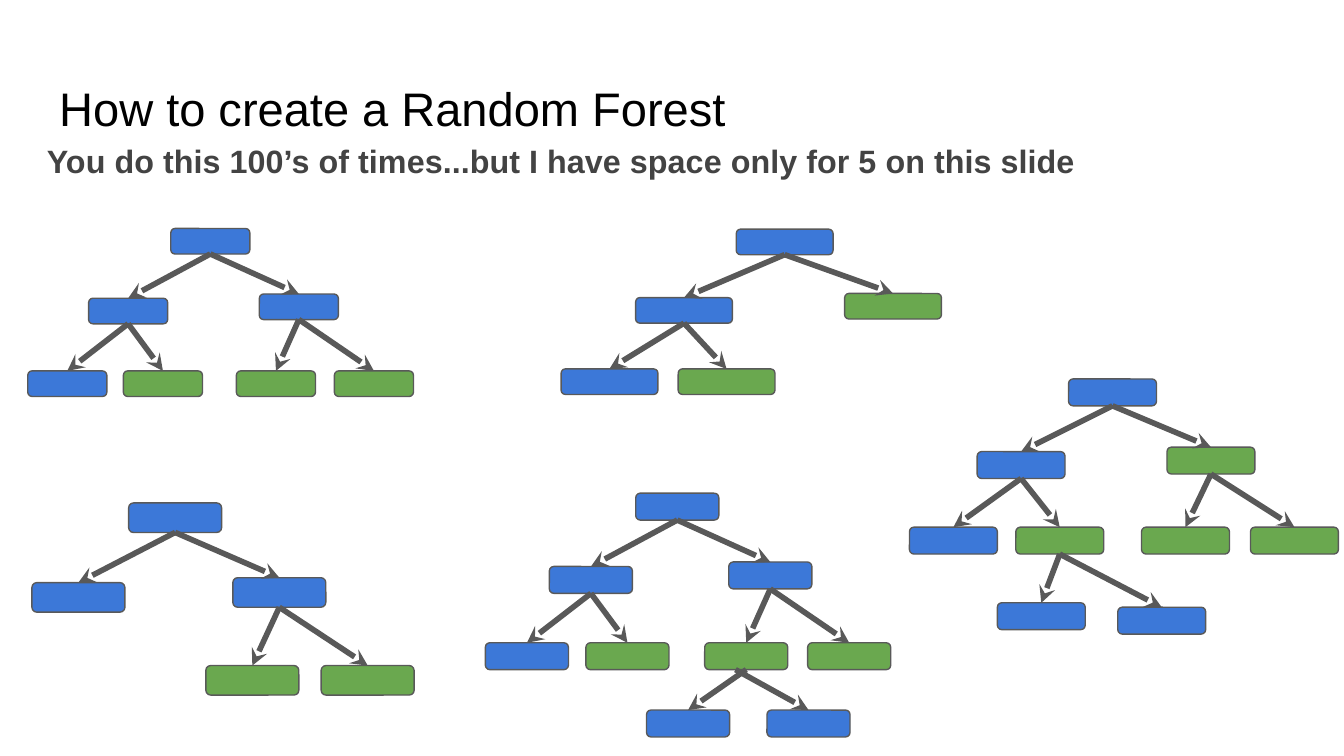
from dataclasses import dataclass

from lxml.etree import SubElement
from pptx import Presentation
from pptx.dml.color import RGBColor
from pptx.enum.shapes import MSO_CONNECTOR, MSO_SHAPE
from pptx.enum.text import MSO_ANCHOR, MSO_AUTO_SIZE, PP_ALIGN
from pptx.oxml.ns import qn
from pptx.util import Inches, Pt


@dataclass(frozen=True)
class Theme:
    font: str = "Arial"
    title_size: float = 25.2
    subtitle_size: float = 17.35
    title: str = "000000"
    subtitle: str = "434343"
    split: str = "3C78D8"
    leaf: str = "6AA84F"
    line: str = "595959"
    outline_width: float = 0.75
    branch_width: float = 3


@dataclass(frozen=True)
class Node:
    column: float  # left edge, in node widths from the tree's left
    drop: float    # top edge, as a share of the tree's depth
    parent: str = ""


@dataclass(frozen=True)
class Tree:
    left: float    # left, top, width, height and depth are in grid cells
    top: float
    node_width: float
    node_height: float
    depth: float
    splits: tuple  # blue nodes
    leaves: tuple  # green nodes
    extra: tuple = ()         # (name, Node) pairs below the third level
    start_shifts: tuple = ()  # (name, cells) for branches that start off centre


THEME = Theme()
CELL = Inches(0.1)  # the slide is 100 cells wide

# Layout shared by every tree
LAYOUT = {
    "root": Node(1.81, 0),
    "L": Node(0.77, 0.49, "root"),
    "R": Node(2.93, 0.46, "root"),
    "LL": Node(0, 1, "L"),
    "LR": Node(1.21, 1, "L"),
    "RL": Node(2.64, 1, "R"),
    "RR": Node(3.88, 1, "R"),
}

FOREST = (
    Tree(2.07, 17, 5.88, 1.9, 10.6, ("root", "L", "R", "LL"), ("LR", "RL", "RR")),
    Tree(41.75, 17.05, 7.2, 1.9, 10.4, ("root", "L", "LL"), ("R", "LR")),
    Tree(-2.95, 37.42, 6.92, 2.2, 12.1, ("root", "L", "R"), ("RL", "RR")),
    Tree(36.12, 36.7, 6.18, 2, 11.13,
         ("root", "L", "R", "LL", "RLL", "RLR"), ("LR", "RL", "RR"),
         extra=(("RLL", Node(1.94, 1.45, "RL")), ("RLR", Node(3.39, 1.45, "RL"))),
         start_shifts=(("RLR", -0.8),)),
    Tree(67.67, 28.2, 6.54, 2, 11.03,
         ("root", "L", "LL", "LRL", "LRR"), ("R", "LR", "RL", "RR"),
         extra=(("LRL", Node(1, 1.51, "LR")), ("LRR", Node(2.37, 1.54, "LR")))),
)


def cells(count):
    return round(count * CELL)


def write_text(frame, text, *, size, color, bold=False, anchor=MSO_ANCHOR.TOP):
    frame.word_wrap = True
    frame.auto_size = MSO_AUTO_SIZE.NONE
    frame.vertical_anchor = anchor
    frame.margin_left = frame.margin_right = CELL
    frame.margin_top = frame.margin_bottom = CELL
    paragraph = frame.paragraphs[0]
    paragraph.alignment = PP_ALIGN.LEFT
    run = paragraph.add_run()
    run.text = text
    run.font.name = THEME.font
    run.font.size = Pt(size)
    run.font.bold = bold
    run.font.color.rgb = RGBColor.from_string(color)


def add_headings(slide):
    title = slide.shapes.title
    title.left, title.top = cells(3.4), cells(4.85)
    title.width, title.height = cells(93.2), cells(6.3)
    write_text(title.text_frame, "How to create a Random Forest",
               size=THEME.title_size, color=THEME.title, anchor=MSO_ANCHOR.MIDDLE)

    subtitle = slide.shapes.add_textbox(cells(2.5), cells(9.5), cells(100), cells(4.9))
    write_text(subtitle.text_frame,
               "You do this 100’s of times...but I have space only for 5 on this slide",
               size=THEME.subtitle_size, color=THEME.subtitle, bold=True)


def add_node(slide, tree, node, color):
    box = slide.shapes.add_shape(
        MSO_SHAPE.ROUNDED_RECTANGLE,
        cells(tree.left + node.column * tree.node_width),
        cells(tree.top + node.drop * tree.depth),
        cells(tree.node_width), cells(tree.node_height))
    box.shadow.inherit = False
    box.fill.solid()
    box.fill.fore_color.rgb = RGBColor.from_string(color)
    box.line.color.rgb = RGBColor.from_string(THEME.line)
    box.line.width = Pt(THEME.outline_width)
    return box


def add_branch(slide, parent, child, start_shift=0):
    start_x = parent.left + parent.width // 2 + cells(start_shift)
    start_y = parent.top + parent.height
    branch = slide.shapes.add_connector(
        MSO_CONNECTOR.STRAIGHT, start_x, start_y, child.left, child.top)
    if not start_shift:
        branch.begin_connect(parent, 2)
    branch.end_connect(child, 0)
    branch.line.color.rgb = RGBColor.from_string(THEME.line)
    branch.line.width = Pt(THEME.branch_width)
    properties = branch._element.spPr
    SubElement(properties.find(qn("a:ln")), qn("a:tailEnd"), type="stealth")
    SubElement(properties, qn("a:effectLst"))


def add_tree(slide, tree):
    layout = LAYOUT | dict(tree.extra)
    colors = (dict.fromkeys(tree.splits, THEME.split)
              | dict.fromkeys(tree.leaves, THEME.leaf))
    boxes = {name: add_node(slide, tree, layout[name], color)
             for name, color in colors.items()}
    shifts = dict(tree.start_shifts)
    for name, box in boxes.items():
        parent = layout[name].parent
        if parent:
            add_branch(slide, boxes[parent], box, shifts.get(name, 0))


def main():
    deck = Presentation()
    deck.slide_width, deck.slide_height = cells(100), cells(56.25)
    slide = deck.slides.add_slide(deck.slide_layouts[5])
    add_headings(slide)
    for tree in FOREST:
        add_tree(slide, tree)
    deck.save("out.pptx")


if __name__ == "__main__":
    main()
